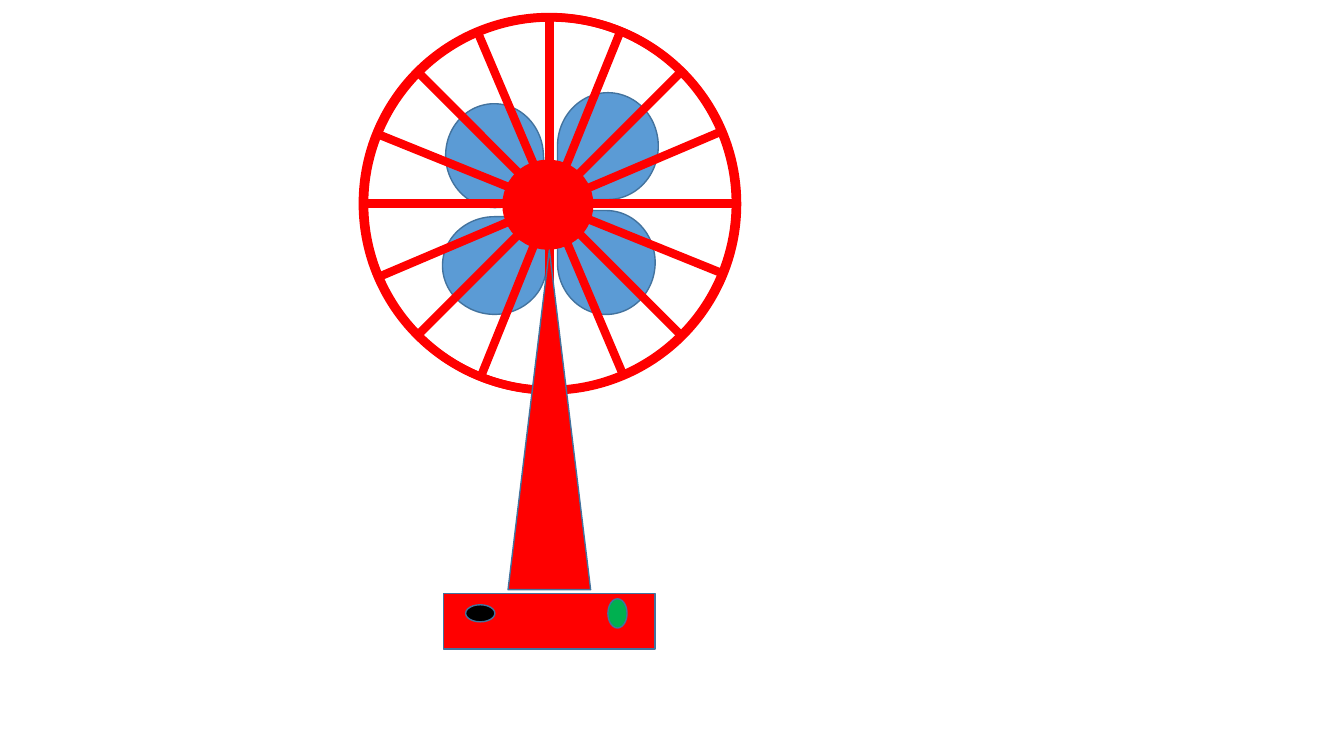
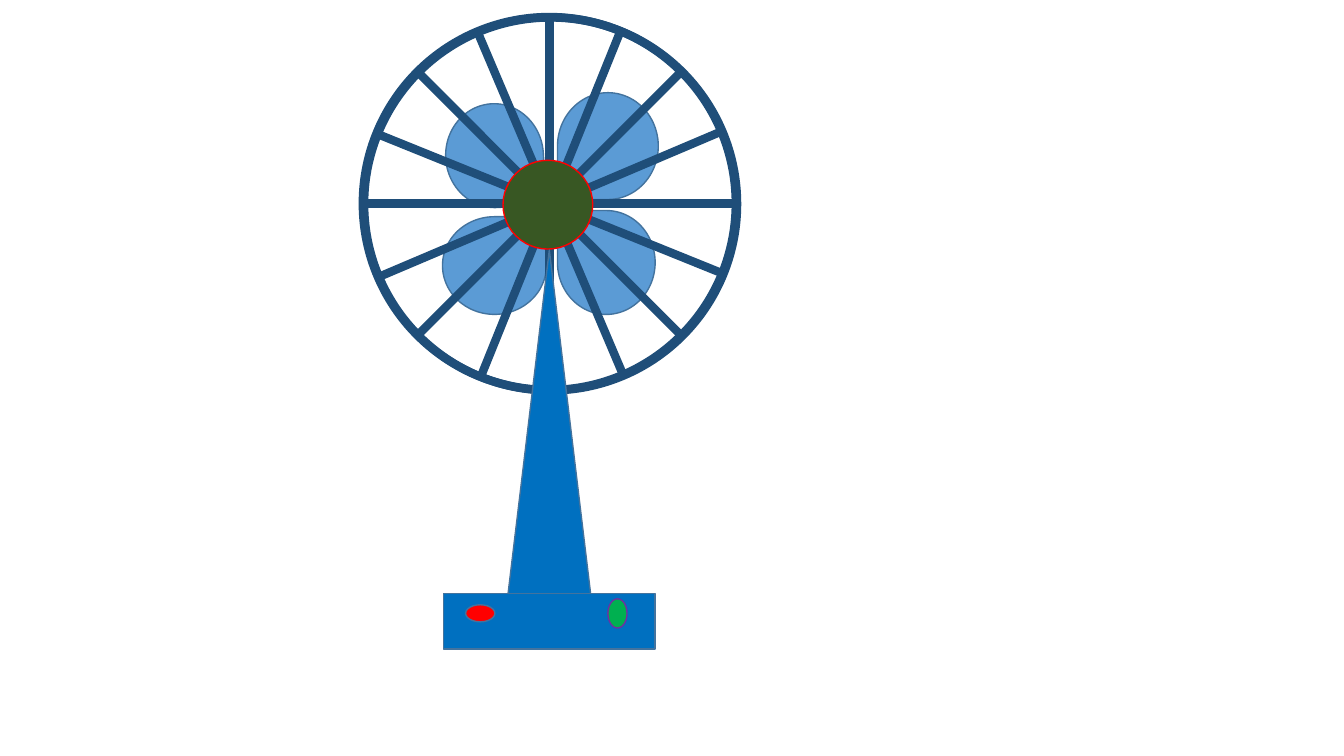
"""Build two slides that show a table fan in two colour schemes."""
from dataclasses import dataclass
from math import cos, radians, sin

from lxml import etree
from pptx import Presentation
from pptx.dml.color import RGBColor
from pptx.enum import shapes
from pptx.oxml import ns
from pptx.util import Pt

G = shapes.MSO_SHAPE


@dataclass(frozen=True)
class Theme:
    blade: str = "5B9BD5"
    outline: str = "43739E"
    red: str = "FF0000"
    navy: str = "1F4E79"
    blue: str = "0070C0"
    olive: str = "385723"
    green: str = "00B050"
    purple: str = "7030A0"
    black: str = "000000"
    thin: float = 1
    thick: float = 6


@dataclass(frozen=True)
class Box:
    x: float
    y: float
    w: float
    h: float
    rot: float = 0


@dataclass(frozen=True)
class Wheel:
    cx: float
    cy: float
    rot: float


@dataclass(frozen=True)
class Fan:
    guard: str
    hub: str
    stand: str
    pole_h: float
    switch: str
    lamp_line: str


T = Theme()
RADIUS = 133.2
SPOKE_ANGLES = range(0, 180, 45)
WHEELS = (Wheel(392.4, 145.4, 0), Wheel(393.3, 145.7, 22))
BLADES = (
    Box(316.1, 154.8, 74.2, 69.8),
    Box(316.1, 76.3, 74.2, 69.8, 86.5),
    Box(398.2, 66.2, 72, 76.3, 180),
    Box(396, 152.6, 74.2, 69.8, 270),
)
HUB = Box(359.3, 114.5, 64.1, 63.4)
BASE = Box(316.8, 424.1, 151.2, 39.6)
LAMP = Box(434.2, 427.7, 13.7, 20.9)
SWITCH = Box(332.6, 432, 20.9, 12.2)
FANS = (
    Fan(T.red, T.red, T.red, 242.6, T.black, T.outline),
    Fan(T.navy, T.olive, T.blue, 245.5, T.red, T.purple),
)


def add_shape(parent, kind: shapes.MSO_SHAPE, box: Box, fill: str | None = None,
              line: str = T.outline, width: float = T.thin) -> None:
    sp = parent.shapes.add_shape(kind, Pt(box.x), Pt(box.y), Pt(box.w), Pt(box.h))
    sp.rotation = box.rot
    sp.shadow.inherit = False
    if fill is None:
        sp.fill.background()
    else:
        sp.fill.solid()
        sp.fill.fore_color.rgb = RGBColor.from_string(fill)
    sp.line.color.rgb = RGBColor.from_string(line)
    sp.line.width = Pt(width)


def add_spoke(parent, wheel: Wheel, angle: float, color: str) -> None:
    dx = RADIUS * sin(radians(angle))
    dy = RADIUS * cos(radians(angle))
    c = parent.shapes.add_connector(
        shapes.MSO_CONNECTOR.STRAIGHT,
        Pt(wheel.cx + dx), Pt(wheel.cy - dy), Pt(wheel.cx - dx), Pt(wheel.cy + dy))
    c.line.color.rgb = RGBColor.from_string(color)
    c.line.width = Pt(T.thick)
    etree.SubElement(c.element.spPr, ns.qn("a:effectLst"))


def add_wheel(parent, wheel: Wheel, color: str) -> None:
    rim = Box(wheel.cx - RADIUS, wheel.cy - RADIUS, 2 * RADIUS, 2 * RADIUS, wheel.rot)
    add_shape(parent, G.OVAL, rim, line=color, width=T.thick)
    for angle in SPOKE_ANGLES:
        add_spoke(parent, wheel, angle + wheel.rot, color)


def add_fan(s, fan: Fan) -> None:
    blades = s.shapes.add_group_shape()
    for box in BLADES:
        add_shape(blades, G.TEAR, box, T.blade)
    guard = s.shapes.add_group_shape()
    for wheel in WHEELS:
        add_wheel(guard, wheel, fan.guard)
    add_shape(s, G.OVAL, HUB, fan.hub, T.red)
    stand = s.shapes.add_group_shape()
    add_shape(stand, G.ISOSCELES_TRIANGLE, Box(362.9, 178.6, 59, fan.pole_h), fan.stand)
    add_shape(stand, G.RECTANGLE, BASE, fan.stand)
    add_shape(s, G.OVAL, LAMP, T.green, fan.lamp_line)
    add_shape(s, G.OVAL, SWITCH, fan.switch)


def main() -> None:
    prs = Presentation()
    prs.slide_width, prs.slide_height = Pt(960), Pt(540)
    for fan in FANS:
        add_fan(prs.slides.add_slide(prs.slide_layouts[6]), fan)
    prs.save("out.pptx")


if __name__ == "__main__":
    main()
